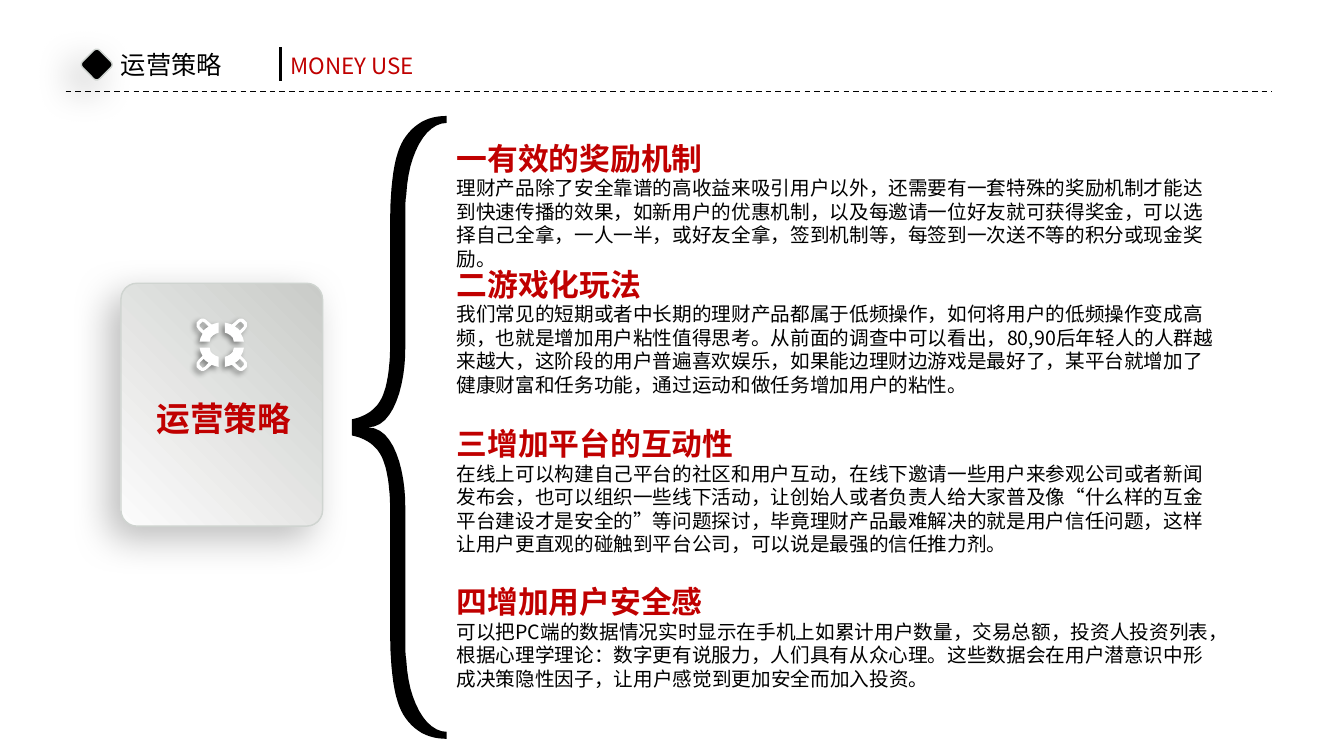
from dataclasses import dataclass
from typing import NamedTuple

from lxml import etree
from pptx import Presentation
from pptx.dml.color import RGBColor
from pptx.enum.dml import MSO_LINE
from pptx.enum.shapes import MSO_CONNECTOR, MSO_SHAPE
from pptx.enum.text import PP_ALIGN
from pptx.oxml.ns import qn
from pptx.util import Inches, Pt

STRAIGHT = MSO_CONNECTOR.STRAIGHT
ROUNDED = MSO_SHAPE.ROUNDED_RECTANGLE
DASH = MSO_LINE.DASH
LEFT, CENTER = PP_ALIGN.LEFT, PP_ALIGN.CENTER
UNITS_PER_INCH = 1000  # freeform points are whole numbers


@dataclass(frozen=True)
class Theme:
    font: str = "Noto Sans CJK SC"
    black: str = "000000"
    red: str = "C00000"
    white: str = "FFFFFF"
    edge: str = "CFD4D0"
    card_dark: str = "C9CBC8"
    card_light: str = "FCFCFC"
    title_size: float = 18
    subtitle_size: float = 16
    card_size: float = 24
    heading_size: float = 22
    body_size: float = 14


class Shadow(NamedTuple):
    opacity: int
    blur: float
    distance: float


class Section(NamedTuple):
    top: float
    height: float
    heading: str
    body: tuple[str, ...]


Point = tuple[float, float]
THEME = Theme()
SOFT_SHADOW = Shadow(26, 27, 12)
ICON_SHADOW = Shadow(40, 4, 3)

SECTIONS = (
    Section(1.15, 1.63, "一有效的奖励机制", (
        "理财产品除了安全靠谱的高收益来吸引用户以外，还需要有一套特殊的奖励机制才能达到快速传播的效果，"
        "如新用户的优惠机制，以及每邀请一位好友就可获得奖金，可以选择自己全拿，一人一半，或好友全拿，"
        "签到机制等，每签到一次送不等的积分或现金奖励。",)),
    Section(2.4, 1.83, "二游戏化玩法", (
        "我们常见的短期或者中长期的理财产品都属于低频操作，如何将用户的低频操作变成高频，也就是增加用户粘性值得思考。"
        "从前面的调查中可以看出，80,90后年轻人的人群越来越大，这阶段的用户普遍喜欢娱乐，"
        "如果能边理财边游戏是最好了，某平台就增加了健康财富和任务功能，通过运动和做任务增加用户的粘性。",)),
    Section(3.98, 1.83, "三增加平台的互动性", (
        "在线上可以构建自己平台的社区和用户互动，在线下邀请一些用户来参观公司或者新闻发布会，"
        "也可以组织一些线下活动，让创始人或者负责人给大家普及像“什么样的互金平台建设才是安全的”等问题探讨，"
        "毕竟理财产品最难解决的就是用户信任问题，这样让用户更直观的碰触到平台公司，可以说是最强的信任推力剂。",)),
    Section(5.55, 1.36, "四增加用户安全感", (
        "可以把PC端的数据情况实时显示在手机上如累计用户数量，交易总额，投资人投资列表，",
        "根据心理学理论：数字更有说服力，人们具有从众心理。这些数据会在用户潜意识中形成决策隐性因子，"
        "让用户感觉到更加安全而加入投资。")),
)

# One quarter of the icon, as offsets from its centre.
ICON_CENTER = (2.2, 3.42)
ICON_HOLE = ((.18, .14), (.16, .16), (.13, .18), (.17, .22), (.19, .23),
             (.2, .22), (.22, .2), (.22, .18), (.21, .17))
ICON_BODY = ((.12, .03), (.22, .03), (.21, .07), (.19, .11), (.23, .15), (.25, .18), (.25, .22),
             (.23, .24), (.22, .25), (.2, .26), (.18, .26), (.16, .25), (.1, .2), (.07, .21),
             (.03, .22), (.03, .12), (.06, .11), (.09, .09), (.11, .07))

# Upper half of the brace; the lower half mirrors it.
BRACE_MIDDLE = 4.24
BRACE_OUTER = (((3.49, 4.16), (3.64, 4.13), (3.74, 4.05), (3.79, 3.94)),
               ((3.79, 3.94), (3.84, 3.83), (3.87, 3.65), (3.87, 3.4)),
               ((3.87, 2.22), (3.87, 1.82), (3.91, 1.54), (4, 1.39)),
               ((4, 1.39), (4.1, 1.23), (4.24, 1.15), (4.43, 1.15)))
BRACE_INNER = (((4.43, 1.22), (4.22, 1.22), (4.05, 1.53), (4.03, 1.93)),
               ((4.03, 1.93), (4.02, 1.99), (4.02, 2.05), (4.02, 2.11)),
               ((4.02, 3.45), (4.02, 3.81), (3.91, 4.24), (3.65, 4.24)))


def color(value: str) -> RGBColor:
    return RGBColor.from_string(value)


def set_shadow(shape, shadow: Shadow | None = None) -> None:
    shape.shadow.inherit = False
    if shadow is None:
        return
    effects = shape._element.spPr.find(qn("a:effectLst"))
    outer = etree.SubElement(effects, qn("a:outerShdw"), blurRad=str(Pt(shadow.blur)),
                             dist=str(Pt(shadow.distance)), dir=str(135 * 60000),
                             algn="tr", rotWithShape="0")
    shade = etree.SubElement(outer, qn("a:srgbClr"), val=THEME.black)
    etree.SubElement(shade, qn("a:alpha"), val=str(shadow.opacity * 1000))


def add_line(slide, start: Point, end: Point, width: float, dash=None) -> None:
    line = slide.shapes.add_connector(STRAIGHT, *map(Inches, start + end))
    line.line.color.rgb = color(THEME.black)
    line.line.width = Pt(width)
    if dash is not None:
        line.line.dash_style = dash
    etree.SubElement(line._element.spPr, qn("a:effectLst"))


def add_rounded(slide, left: float, top: float, width: float, height: float):
    shape = slide.shapes.add_shape(ROUNDED, *map(Inches, (left, top, width, height)))
    shape.line.color.rgb = color(THEME.edge)
    shape.line.width = Pt(1)
    set_shadow(shape, SOFT_SHADOW)
    return shape


def add_outline(slide, contours: list[list[Point]], fill: str, shadow: Shadow | None = None) -> None:
    """Draw closed contours, given in inches, as one filled freeform."""
    first, *others = [[(round(x * UNITS_PER_INCH), round(y * UNITS_PER_INCH)) for x, y in contour]
                      for contour in contours]
    builder = slide.shapes.build_freeform(*first[0], scale=Inches(1) / UNITS_PER_INCH)
    builder.add_line_segments(first[1:], close=True)
    for contour in others:
        builder.move_to(*contour[0])
        builder.add_line_segments(contour[1:], close=True)
    shape = builder.convert_to_shape()
    shape.fill.solid()
    shape.fill.fore_color.rgb = color(fill)
    shape.line.fill.background()
    set_shadow(shape, shadow)


def curve(points: tuple[Point, ...], steps: int = 12) -> list[Point]:
    """Sample a cubic Bezier curve."""
    def blend(values: tuple[float, ...], t: float) -> float:
        weights = ((1 - t) ** 3, 3 * t * (1 - t) ** 2, 3 * t * t * (1 - t), t ** 3)
        return sum(weight * value for weight, value in zip(weights, values))
    xs, ys = zip(*points)
    return [(blend(xs, i / steps), blend(ys, i / steps)) for i in range(steps + 1)]


def add_text_box(slide, left: float, top: float, width: float, height: float, inset: bool = True):
    frame = slide.shapes.add_textbox(*map(Inches, (left, top, width, height))).text_frame
    frame.word_wrap = True
    if not inset:
        frame.margin_left = frame.margin_top = frame.margin_right = frame.margin_bottom = 0
    return frame


def write(frame, text: str, *, size: float, fill: str = THEME.black, bold: bool = False,
          align=LEFT, spacing: float | None = None) -> None:
    """Fill the first paragraph of the frame, or add one after its text."""
    paragraph = frame.add_paragraph() if frame.text else frame.paragraphs[0]
    paragraph.alignment = align
    paragraph.line_spacing = spacing
    run = paragraph.add_run()
    run.text = text
    run.font.size, run.font.bold, run.font.name = Pt(size), bold, THEME.font
    run.font.color.rgb = color(fill)
    etree.SubElement(run.font._element, qn("a:ea"), typeface=THEME.font)


def draw_header(slide) -> None:
    add_line(slide, (.65, .91), (12.62, .91), 1, DASH)
    diamond = add_rounded(slide, .84, .52, .24, .24)
    diamond.rotation = 315.4
    diamond.fill.solid()
    diamond.fill.fore_color.rgb = color(THEME.black)
    add_line(slide, (2.78, .47), (2.78, .8), 2.25)
    write(add_text_box(slide, 1.2, .49, 2.2, .3, inset=False), "运营策略", size=THEME.title_size)
    write(add_text_box(slide, 2.88, .52, 4.15, .27, inset=False), "MONEY USE",
          size=THEME.subtitle_size, fill=THEME.red)


def draw_card(slide) -> None:
    card = add_rounded(slide, 1.2, 2.81, 2, 2.41)
    card.adjustments[0] = .08
    card.fill.gradient()
    card.fill.gradient_angle = 225
    for stop, shade in zip(card.fill.gradient_stops, (THEME.card_dark, THEME.card_light)):
        stop.color.rgb = color(shade)
    write(add_text_box(slide, 1.24, 3.9, 1.96, .5), "运营策略", size=THEME.card_size,
          fill=THEME.red, bold=True, align=CENTER)
    center_x, center_y = ICON_CENTER
    quarters = [[(center_x + side * x, center_y + level * y) for x, y in part]
                for side in (1, -1) for level in (1, -1) for part in (ICON_HOLE, ICON_BODY)]
    add_outline(slide, quarters, THEME.white, ICON_SHADOW)


def draw_brace(slide) -> None:
    upper = [point for part in BRACE_OUTER + BRACE_INNER for point in curve(part)]
    lower = [(x, 2 * BRACE_MIDDLE - y) for x, y in reversed(upper)]
    add_outline(slide, [upper + lower], THEME.black)


def draw_section(slide, section: Section) -> None:
    frame = add_text_box(slide, 4.43, section.top, 7.78, section.height)
    write(frame, section.heading, size=THEME.heading_size, fill=THEME.red, bold=True, spacing=1.5)
    for text in section.body:
        write(frame, text, size=THEME.body_size)


def main() -> None:
    presentation = Presentation()
    presentation.slide_width, presentation.slide_height = Inches(13.33), Inches(7.5)
    slide = presentation.slides.add_slide(presentation.slide_layouts[6])
    draw_header(slide)
    draw_card(slide)
    draw_brace(slide)
    for section in SECTIONS:
        draw_section(slide, section)
    presentation.save("out.pptx")


if __name__ == "__main__":
    main()
